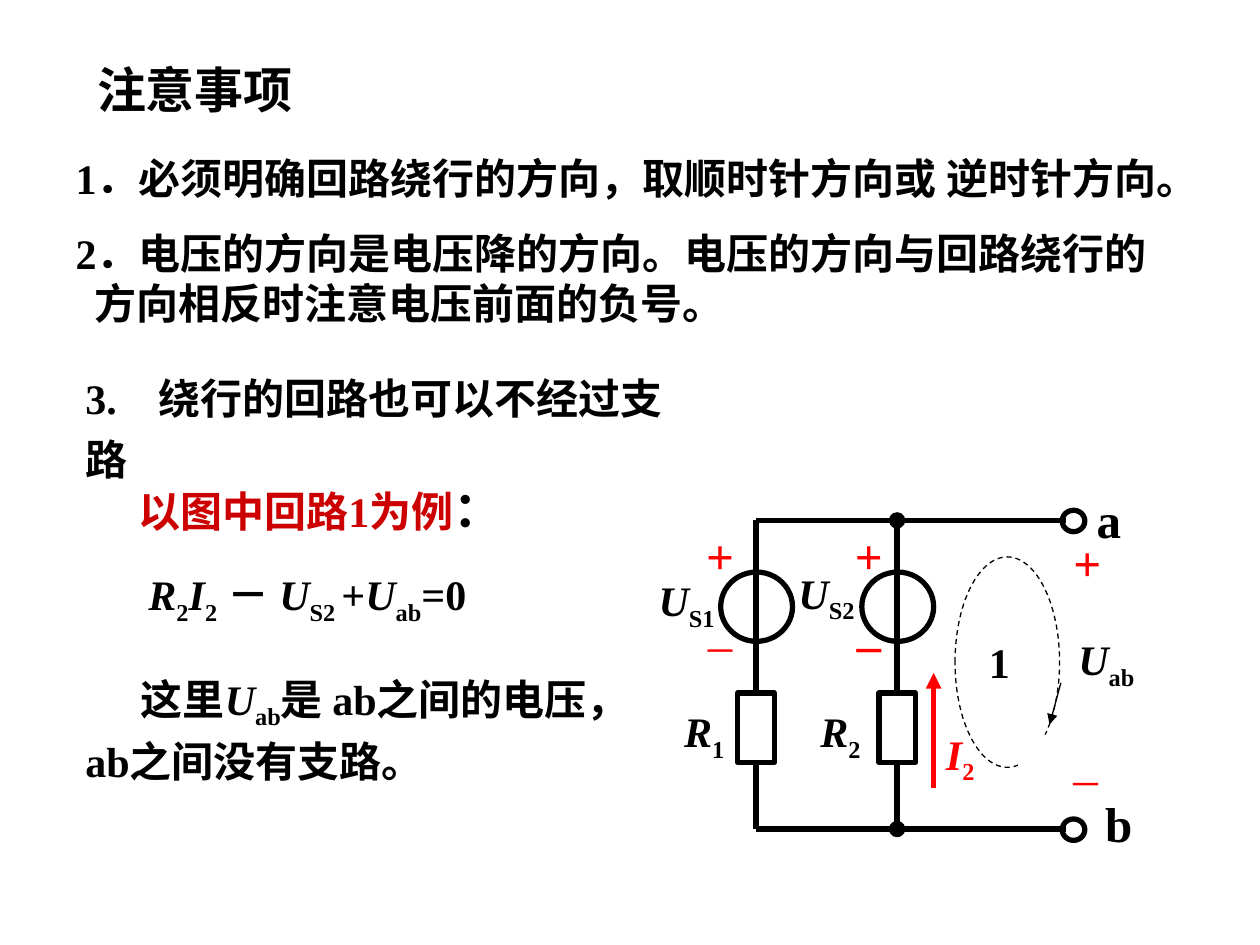
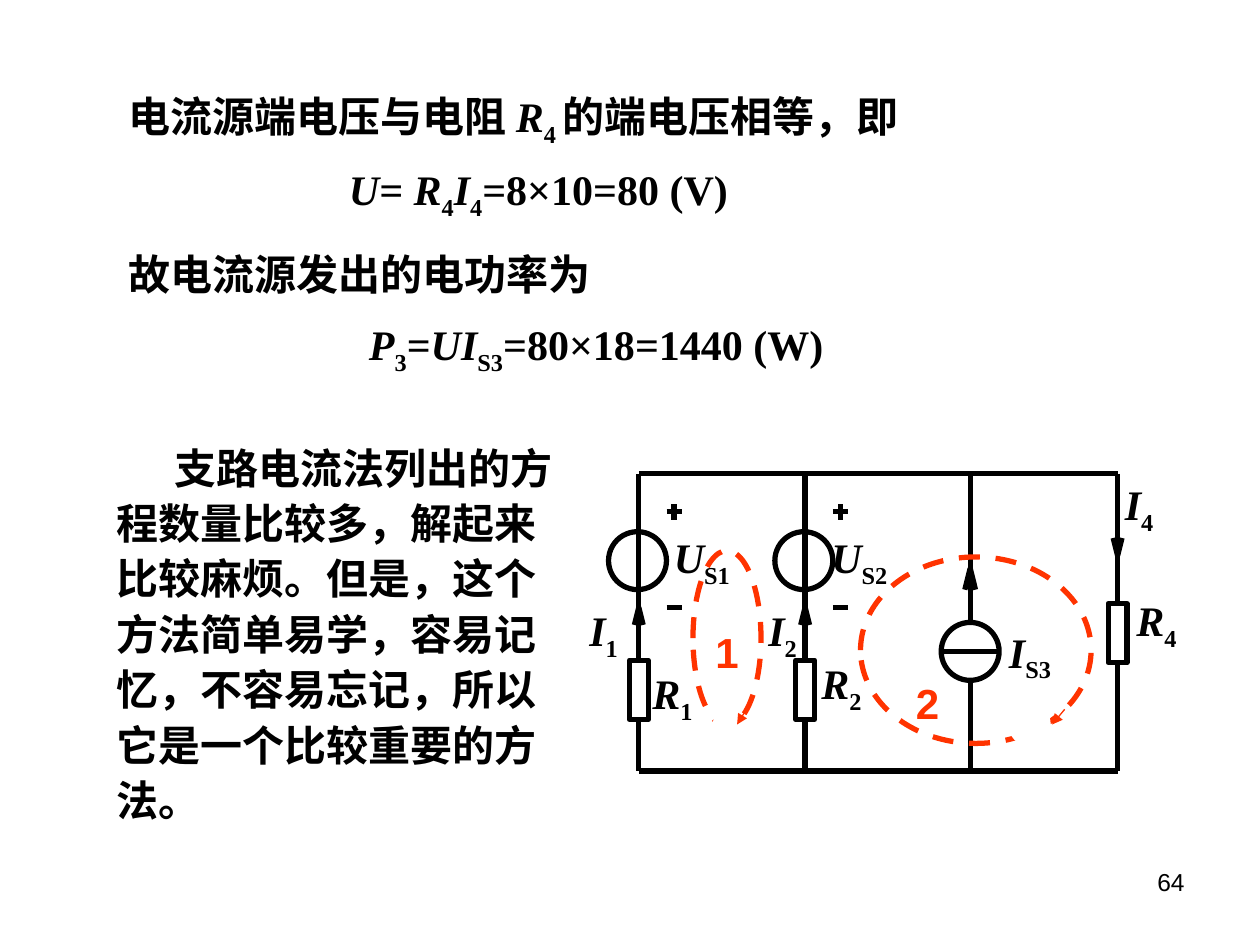
from dataclasses import dataclass
from typing import Any

from lxml import etree
from pptx import Presentation
from pptx.dml.color import RGBColor
from pptx.enum.dml import MSO_LINE
from pptx.enum.shapes import MSO_CONNECTOR, MSO_SHAPE
from pptx.enum.text import MSO_ANCHOR, MSO_AUTO_SIZE, PP_ALIGN
from pptx.oxml.ns import qn
from pptx.util import Inches, Pt

OVAL, RECT = MSO_SHAPE.OVAL, MSO_SHAPE.RECTANGLE
STRAIGHT = MSO_CONNECTOR.STRAIGHT
DASH = MSO_LINE.DASH
TOP, MIDDLE = MSO_ANCHOR.TOP, MSO_ANCHOR.MIDDLE
LEFT, CENTER, RIGHT = PP_ALIGN.LEFT, PP_ALIGN.CENTER, PP_ALIGN.RIGHT

BLACK, WHITE = "000000", "FFFFFF"
RED, DARK_RED, ORANGE = "FF0000", "CC0000", "FF3300"
SERIF, SANS = "Times New Roman", "Arial"
SITE_TOP, SITE_BOTTOM = 0, 2


def rgb(value):
    return RGBColor.from_string(value)


def symbol(letter, subscript):
    """Italic letter with an upright subscript."""
    return [(letter, "italic"), (subscript, "sub")]


def write(paragraph, pieces, size=24, color=BLACK, font=SERIF, bold=True,
          align=LEFT, spacing=1.0, before=0):
    """Fill a paragraph with plain text or with (text, style) pieces."""
    if isinstance(pieces, str):
        pieces = [(pieces, "")]
    for text, style in pieces:
        run = paragraph.add_run()
        run.text = text
        run.font.size, run.font.name = Pt(size), font
        run.font.bold, run.font.italic = bold, style == "italic"
        run.font.color.rgb = rgb(color)
        if style == "sub":
            run._r.get_or_add_rPr().set("baseline", "-25000")
    paragraph.alignment = align
    paragraph.line_spacing = spacing
    paragraph.space_before = Pt(before)
    return paragraph


def indent(paragraph, first, left=0):
    properties = paragraph._p.get_or_add_pPr()
    properties.set("marL", str(Inches(left)))
    properties.set("indent", str(Inches(first)))


def add_tab(paragraph, position):
    tabs = etree.SubElement(paragraph._p.get_or_add_pPr(), qn("a:tabLst"))
    etree.SubElement(tabs, qn("a:tab"), pos=str(Inches(position)), algn="l")


@dataclass
class Region:
    """A part of a slide whose contents are placed from its top left corner."""
    slide: Any
    left: float
    top: float

    def at(self, x, y):
        return Inches(self.left + x), Inches(self.top + y)

    def text(self, x, y, width, height, pieces, anchor=TOP, **style):
        box = self.slide.shapes.add_textbox(
            *self.at(x, y), Inches(width), Inches(height))
        frame = box.text_frame
        frame.word_wrap = True
        frame.vertical_anchor = anchor
        return write(frame.paragraphs[0], pieces, **style)

    def shape(self, kind, x, y, width, height, fill=None, line=BLACK,
              weight=3, dash=None):
        shape = self.slide.shapes.add_shape(
            kind, *self.at(x, y), Inches(width), Inches(height))
        shape.shadow.inherit = False
        if fill:
            shape.fill.solid()
            shape.fill.fore_color.rgb = rgb(fill)
        else:
            shape.fill.background()
        if line:
            shape.line.color.rgb = rgb(line)
            shape.line.width = Pt(weight)
            if dash:
                shape.line.dash_style = dash
        else:
            shape.line.fill.background()
        return shape

    def line(self, x1, y1, x2, y2, color=BLACK, weight=3, arrow=False):
        line = self.slide.shapes.add_connector(
            STRAIGHT, *self.at(x1, y1), *self.at(x2, y2))
        line.line.color.rgb = rgb(color)
        line.line.width = Pt(weight)
        if arrow:
            etree.SubElement(line.line._get_or_add_ln(), qn("a:tailEnd"),
                             type="triangle")
        etree.SubElement(line._element.spPr, qn("a:effectLst"))
        return line

    def resistor_branch(self, x, rail_top, rail_bottom, y, width, height):
        """Resistor at height y, wired to both rails."""
        resistor = self.shape(RECT, x - width / 2, y, width, height, WHITE)
        self.line(x, rail_top, x, y).end_connect(resistor, SITE_TOP)
        self.line(x, y + height, x, rail_bottom).begin_connect(
            resistor, SITE_BOTTOM)

    def wire_arrow(self, x, tip, size):
        """Arrow on a wire; a negative size points down."""
        spread = abs(size) / 4
        for dx, dy in ((-spread, size), (spread, size), (0, 2 * size)):
            self.line(x, tip, x + dx, tip + dy)


# Slide 1: notes on loop directions
def fill_notes(slide):
    title = slide.shapes.title
    title.left, title.top = Inches(0.67), Inches(0.42)
    title.width, title.height = Inches(2.42), Inches(0.57)
    notes = slide.placeholders[1]
    notes.left, notes.top = Inches(0.5), Inches(1.08)
    notes.width, notes.height = Inches(8.92), Inches(1.57)
    for holder in (title, notes):
        holder.text_frame.auto_size = MSO_AUTO_SIZE.NONE
        holder.text_frame.vertical_anchor = TOP
        holder.text_frame.word_wrap = True
    write(title.text_frame.paragraphs[0], "注意事项", size=28, font=SANS)

    direction = notes.text_frame.paragraphs[0]
    voltage = notes.text_frame.add_paragraph()
    for note, hang in ((direction, 0), (voltage, 0.15)):
        indent(note, -hang, hang)
        etree.SubElement(note._p.get_or_add_pPr(), qn("a:buNone"))
    write(direction, "1．必须明确回路绕行的方向，取顺时针方向或 逆时针方向。",
          spacing=1.2)
    write(voltage, "2．电压的方向是电压降的方向。电压的方向与回路绕行的"
          "方向相反时注意电压前面的负号。", before=14)


def add_example(slide, left, top):
    region = Region(slide, left, top)
    note = region.text(0, 0, 5.06, 0.98, "3.\t绕行的回路也可以不经过支路",
                       spacing=1.2)
    add_tab(note, 0.58)
    heading = region.text(0.42, 0.92, 3.1, 0.57, "以图中回路1为例",
                          color=DARK_RED)
    write(heading, "：", size=28)
    equation = (symbol("R", "2") + symbol("I", "2") + [(" － ", "")]
                + symbol("U", "S2 ") + [("+", "")] + symbol("U", "ab")
                + [("=0", "")])
    region.text(0.5, 1.59, 3.42, 0.54, equation, spacing=1.1)
    remark = region.text(
        0, 2.42, 4.33, 1.05,
        [("这里", "")] + symbol("U", "ab")
        + [("是 ab之间的电压，ab之间没有支路。", "")], spacing=1.1)
    indent(remark, 0.44)


def add_two_source_circuit(slide, left, top):
    region = Region(slide, left, top)
    rails = rail_top, rail_bottom = 0.3, 2.75
    first, second = 1, 2.12

    # Branches: number, x, centres of the source, resistor and sign labels
    for number, x, name_y, source_x, resistor_x, sign_x, bold_minus in (
            ("1", first, 0.71, 0.45, 0.59, 0.71, False),
            ("2", second, 0.65, 1.56, 1.67, 1.89, True)):
        region.shape(OVAL, x - 0.28, 0.71, 0.57, 0.55)
        region.resistor_branch(x, *rails, 1.67, 0.29, 0.55)
        region.text(source_x - 0.45, name_y, 0.9, 0.5,
                    symbol("U", "S" + number), MIDDLE, align=CENTER)
        region.text(resistor_x - 0.35, 1.75, 0.7, 0.5,
                    symbol("R", number), MIDDLE, align=CENTER)
        signs = region.slide.shapes.add_textbox(
            *region.at(sign_x - 0.28, 0.29), Inches(0.57), Inches(1.27))
        frame = signs.text_frame
        frame.word_wrap = True
        frame.vertical_anchor = MIDDLE
        write(frame.paragraphs[0], "+", 28, RED, align=CENTER)
        write(frame.add_paragraph(), "–", 28, RED, bold=bold_minus,
              align=CENTER, before=17)

    # Rails, terminals and nodes
    for y in rails:
        region.line(first, y, 3.46, y)
        region.shape(OVAL, 3.43, y - 0.08, 0.18, 0.17)
        region.shape(OVAL, second - 0.06, y - 0.06, 0.12, 0.12, BLACK,
                     weight=0.75)
    region.text(3.5, 0, 0.6, 0.57, "a", MIDDLE, size=28, align=CENTER)
    region.text(3.58, 2.42, 0.6, 0.57, "b", MIDDLE, size=28, align=CENTER)

    # Port voltage and branch current
    region.text(3.42, 0.35, 0.47, 0.57, "+", size=28, color=RED)
    region.text(3.46, 1.15, 1.05, 0.5, symbol("U", "ab"))
    region.text(3.42, 1.92, 0.56, 0.57, "_", size=28, color=RED, bold=False)
    region.text(2.41, 1.9, 0.64, 0.5, symbol("I", "2"), color=RED)
    region.line(2.41, 2.42, 2.41, 1.51, RED, arrow=True)

    # Loop 1
    region.shape(OVAL, 2.58, 0.59, 0.83, 1.67, weight=0.75, dash=DASH)
    region.shape(RECT, 3.08, 2, 0.33, 0.33, WHITE, None)
    region.line(3.42, 1.59, 3.33, 1.92, weight=0.75, arrow=True)
    region.text(2.75, 1.17, 0.4, 0.5, "1")


# Slide 2: power of the current source
def add_power_solution(slide, left, top):
    region = Region(slide, left, top)
    region.text(0, 0, 6.75, 0.5, [("电流源端电压与电阻 ", "")]
                + symbol("R", "4 ") + [("的端电压相等，即", "")])
    region.text(1.75, 0.58, 4.92, 0.5, symbol("U= R", "4")
                + symbol("I", "4") + [("=8×10=80 (V)", "")])
    region.text(0, 1.25, 4.42, 0.5, "故电流源发出的电功率为", font=SANS)
    region.text(1.91, 1.81, 4.42, 0.5, symbol("P", "3") + [("=", "")]
                + symbol("UI", "S3") + [("=80×18=1440 (W)", "")])


def add_method_summary(slide, left, top):
    summary = Region(slide, left, top).text(
        0, 0, 3.67, 3.18,
        "支路电流法列出的方程数量比较多，解起来比较麻烦。但是，这个方法简单易学，"
        "容易记忆，不容易忘记，所以它是一个比较重要的方法。",
        font=SANS, spacing=1.1)
    indent(summary, 0.46)


def add_four_branch_circuit(slide, left, top):
    region = Region(slide, left, top)
    rails = rail_top, rail_bottom = 0.06, 2.42
    first, second, third, fourth = 0.57, 1.89, 3.2, 4.37

    # Source names lie below the drawing
    for letter, subscript, x, y in (
            ("U", "S1", 0.75, 0.47), ("U", "S2", 2, 0.47),
            ("I", "S3", 3.41, 1.22), ("R", "1", 0.58, 1.55),
            ("R", "2", 1.92, 1.47), ("R", "4", 4.42, 0.97),
            ("I", "1", 0.08, 1.05), ("I", "2", 1.5, 1.05),
            ("I", "4", 4.33, 0.05)):
        region.text(x, y, 0.9, 0.5, symbol(letter, subscript))

    # Voltage source branches with polarity signs
    for x in (first, second):
        region.shape(OVAL, x - 0.24, 0.52, 0.46, 0.46)
        region.resistor_branch(x, *rails, 1.54, 0.15, 0.47)
        for sign_y in (0.36, 1.12):
            region.line(x + 0.22, sign_y, x + 0.34, sign_y)
        region.line(x + 0.28, 0.3, x + 0.28, 0.43)
        region.wire_arrow(x, 1.12, 0.14)

    # Current source branch
    region.line(third, rail_top, third, rail_bottom)
    region.shape(OVAL, third - 0.23, 1.24, 0.46, 0.46, WHITE)
    region.line(third - 0.23, 1.47, third + 0.21, 1.47)
    region.wire_arrow(third, 0.81, 0.17)

    # Load branch and rails
    region.resistor_branch(fourth, *rails, 1.09, 0.15, 0.47)
    region.wire_arrow(fourth, 0.71, -0.14)
    for y in rails:
        region.line(first, y, fourth, y)

    # Loops: outline, gap, arrow, number
    for number, outline, gap, arrow, place in (
            ("1", (1, 0.67, 0.54, 1.39), (1.16, 1.91, 0.24, 0.24),
             (1.46, 1.87, 1.35, 2.05), (1.08, 1.22)),
            ("2", (2.33, 0.72, 1.83, 1.48), (3.5, 1.88, 0.34, 0.34),
             (3.95, 1.93, 3.85, 2.05), (2.67, 1.63))):
        region.shape(OVAL, *outline, line=ORANGE, dash=DASH)
        region.shape(OVAL, *gap, WHITE, None)
        region.line(*arrow, ORANGE, 0.75, arrow=True)
        region.text(*place, 0.5, 0.5, number, color=ORANGE, font=SANS)


def add_page_number(slide, number):
    Region(slide, 7.17, 6.83).text(0, 0, 2.33, 0.52, number, size=14,
                                   font=SANS, bold=False, align=RIGHT)


def main():
    deck = Presentation()
    deck.slide_width, deck.slide_height = Inches(10), Inches(7.5)
    title_and_content, blank = deck.slide_layouts[1], deck.slide_layouts[6]

    notes = deck.slides.add_slide(title_and_content)
    fill_notes(notes)
    add_example(notes, 0.58, 2.83)
    add_two_source_circuit(notes, 5, 3.83)

    power = deck.slides.add_slide(blank)
    add_power_solution(power, 0.92, 0.67)
    add_method_summary(power, 0.83, 3.42)
    add_four_branch_circuit(power, 4.5, 3.7)
    add_page_number(power, "64")

    deck.save("out.pptx")


if __name__ == "__main__":
    main()
